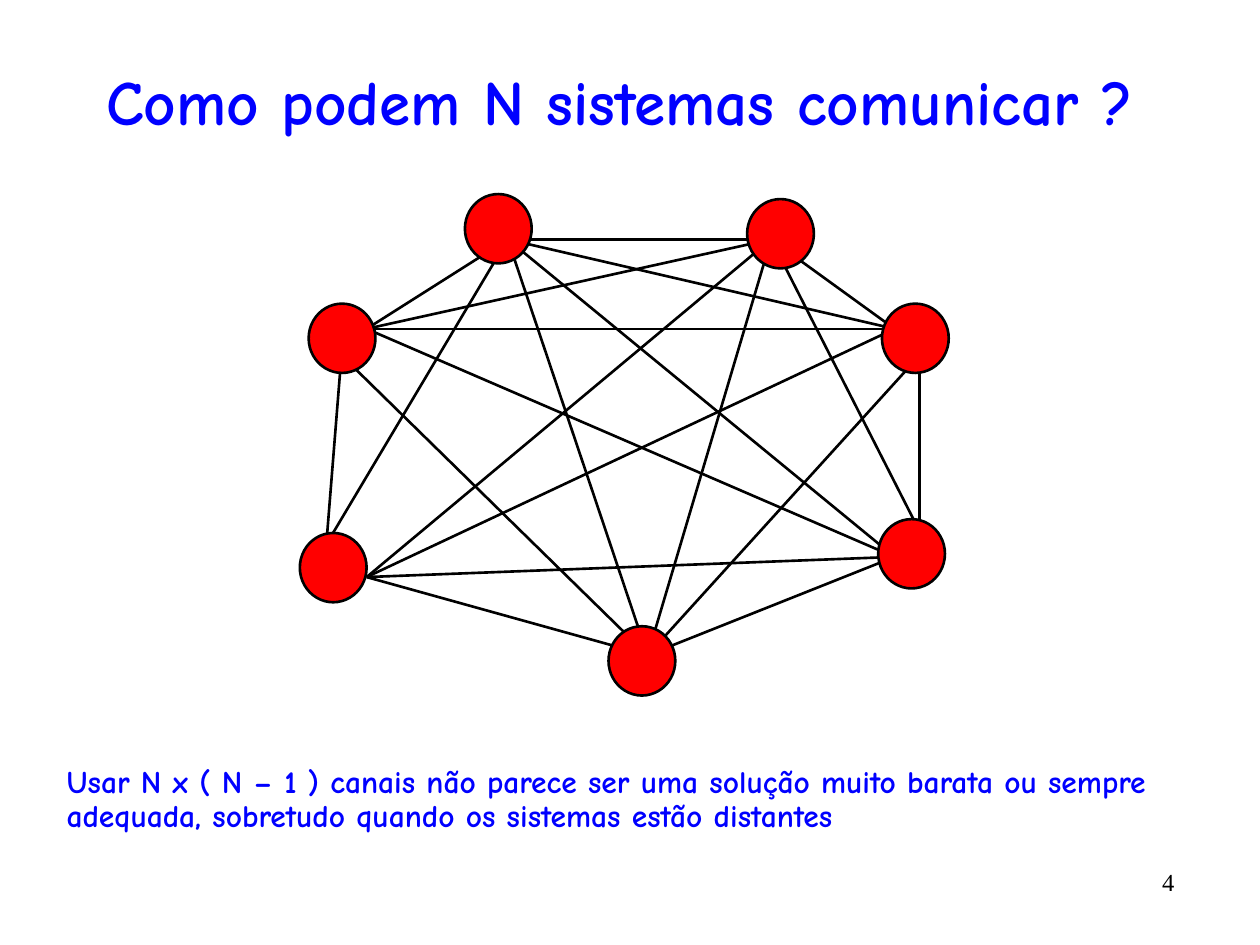
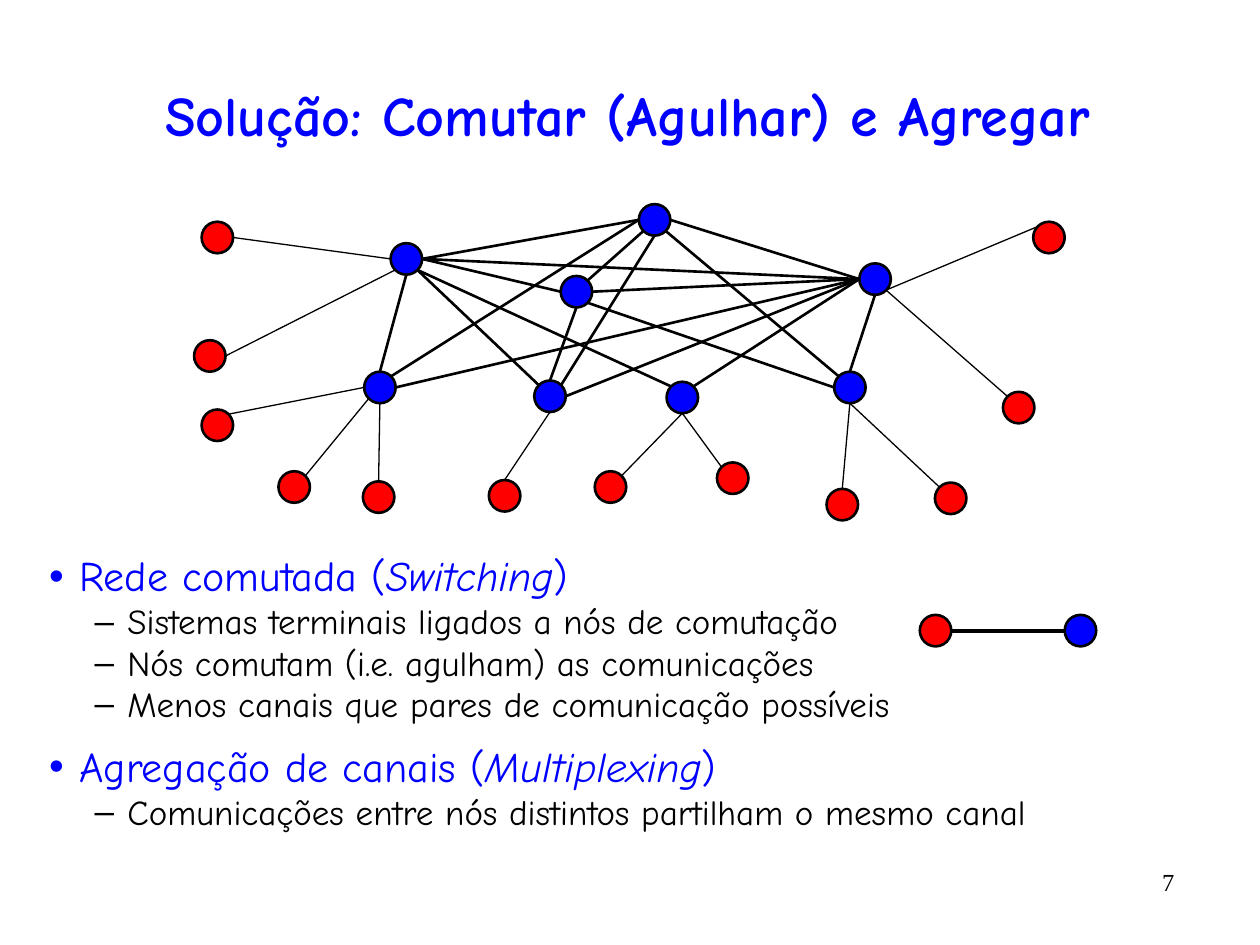
from itertools import combinations
from lxml import etree
from pptx import Presentation
from pptx.dml.color import RGBColor
from pptx.enum.shapes import MSO_CONNECTOR, MSO_SHAPE
from pptx.enum.text import MSO_ANCHOR, MSO_AUTO_SIZE, PP_ALIGN
from pptx.oxml.ns import qn
from pptx.util import Inches, Pt

BLUE = RGBColor(0x00, 0x00, 0xFF)
RED = RGBColor(0xFF, 0x00, 0x00)
BLACK = RGBColor(0x00, 0x00, 0x00)
FONT, NUMBER_FONT = "Comic Neue", "Times New Roman"

MESH_TITLE = "Como podem N sistemas comunicar ?"
MESH_NOTE = ("Usar N x ( N – 1 ) canais não parece ser uma solução muito barata "
             "ou sempre adequada, sobretudo quando os sistemas estão distantes")
MESH_SIZE = (0.53, 0.55)
MESH_NODES = {
    "A": (3.69, 1.54), "B": (5.93, 1.58), "C": (2.45, 2.41), "D": (7.0, 2.41),
    "E": (2.38, 4.23), "F": (6.97, 4.12), "G": (4.83, 4.97),
}
INNER_PORTS = {
    "A": (4.03, 1.9), "B": (6.12, 1.9), "C": (2.91, 2.61), "D": (7.1, 2.61),
    "E": (2.91, 4.58), "F": (7.1, 4.42), "G": (5.14, 5.2),
}
OUTER_PORTS = {
    "C": ((2.71, 2.82), "EG"), "D": ((7.3, 2.82), "FG"),
    "E": ((2.59, 4.32), "AC"), "F": ((7.3, 4.22), "BD"),
}

SWITCH_TITLE = "Solução: Comutar (Agulhar) e Agregar"
DOT = 0.25
SWITCHES = {
    "S1": (3.1, 1.93), "S2": (4.45, 2.19), "S3": (5.07, 1.62), "S4": (6.82, 2.09),
    "S5": (2.89, 2.95), "S6": (4.24, 3.02), "S7": (5.29, 3.03), "S8": (6.62, 2.95),
    "S9": (8.45, 4.88),
}
TERMINALS = {
    "T1": (1.6, 1.76), "T2": (1.54, 2.7), "T3": (1.6, 3.25), "T4": (2.21, 3.74),
    "T5": (2.88, 3.82), "T6": (3.88, 3.81), "T7": (4.72, 3.74), "T8": (5.69, 3.67),
    "T9": (6.56, 3.88), "T10": (7.42, 3.83), "T11": (7.96, 3.11), "T12": (8.2, 1.76),
    "T13": (7.3, 4.88),
}
LINKS = {
    0.75: ["T1 E S1 W", "T2 E S1 SW", "T3 NE S5 W", "T4 NE S5 SW", "T5 N S5 S",
           "T6 N S6 S", "T7 NE S7 S", "T8 NW S7 S", "T9 N S8 S", "T10 NW S8 S",
           "T11 NW S4 SE", "T12 NW S4 SE"],
    1.5: ["S1 E S2 W", "S1 E S3 W", "S1 E S4 W", "S1 S S5 N", "S1 SE S6 NW",
          "S1 SE S7 NW", "S2 NE S3 SW", "S2 E S4 W", "S2 S S6 N", "S2 SE S8 W",
          "S3 E S4 W", "S3 W S5 NE", "S3 S S6 NE", "S3 SE S8 NW", "S4 W S5 E",
          "S4 W S6 E", "S4 W S7 NE", "S4 S S8 N"],
    2.25: ["T13 E S9 W"],
}
BULLETS = [
    (0, "Rede comutada (*Switching*)"),
    (1, "Sistemas terminais ligados a nós de comutação"),
    (1, "Nós comutam (i.e. agulham) as comunicações"),
    (1, "Menos canais que pares de comunicação possíveis"),
    (0, "Agregação de canais (*Multiplexing*)"),
    (1, "Comunicações entre nós distintos partilham o mesmo canal"),
]
LEVELS = [
    dict(size=24, color=BLUE, mark="•", left=0.24, hang=-0.24, before=12),
    dict(size=20, color=BLACK, mark="–", left=0.62, hang=-0.26, before=2),
]


def style(r, size, color, bold=False, font=FONT):
    r.font.name, r.font.size, r.font.bold = font, Pt(size), bold
    r.font.color.rgb = color


def place(sp, box):
    sp.left, sp.top, sp.width, sp.height = map(Inches, box)


def write(sp, text, size, color, align, bold=False, font=FONT):
    tf = sp.text_frame
    tf.word_wrap, tf.auto_size = True, MSO_AUTO_SIZE.NONE
    tf.text = text
    p = tf.paragraphs[0]
    p.alignment = align
    style(p.runs[0], size, color, bold, font)
    return p


def add_slide(layout, title, box, size, number):
    s = prs.slides.add_slide(prs.slide_layouts[layout])
    place(s.shapes.title, box)
    write(s.shapes.title, title, size, BLUE, PP_ALIGN.CENTER, True)
    s.shapes.title.text_frame.vertical_anchor = MSO_ANCHOR.MIDDLE
    page = s.shapes.add_textbox(*map(Inches, (8.42, 6.83, 1, 0.42)))
    write(page, number, 14, BLACK, PP_ALIGN.RIGHT, font=NUMBER_FONT)
    return s


def add_link(s, start, end, width):
    c = s.shapes.add_connector(MSO_CONNECTOR.STRAIGHT, *map(Inches, start + end))
    c.line.color.rgb, c.line.width = BLACK, Pt(width)
    etree.SubElement(c._element.spPr, qn("a:effectLst"))


def add_nodes(s, nodes, size, color):
    for corner in nodes.values():
        sp = s.shapes.add_shape(MSO_SHAPE.OVAL, *map(Inches, corner + size))
        sp.shadow.inherit = False
        sp.fill.solid()
        sp.fill.fore_color.rgb = color
        sp.line.color.rgb, sp.line.width = BLACK, Pt(1.5)


def mesh_port(node, other):
    point, partners = OUTER_PORTS.get(node, (None, ""))
    return point if other in partners else INNER_PORTS[node]


def compass_port(node, heading):
    x, y = (SWITCHES | TERMINALS)[node]
    reach = DOT / 2 * (0.7 if len(heading) == 2 else 1)
    dx = ("E" in heading) - ("W" in heading)
    dy = ("S" in heading) - ("N" in heading)
    return x + DOT / 2 + dx * reach, y + DOT / 2 + dy * reach


def add_bullet(p, level, text, first):
    look = LEVELS[level]
    p.level, p.line_spacing = level, 0.9
    p.space_before = Pt(0 if first else look["before"])
    pPr = p._p.get_or_add_pPr()
    pPr.set("marL", str(Inches(look["left"])))
    pPr.set("indent", str(Inches(look["hang"])))
    clr = etree.SubElement(pPr, qn("a:buClr"))
    etree.SubElement(clr, qn("a:srgbClr"), val=str(look["color"]))
    etree.SubElement(pPr, qn("a:buChar"), char=look["mark"])
    for i, part in enumerate(text.split("*")):
        r = p.add_run()
        r.text = part
        style(r, look["size"], look["color"])
        r.font.italic = i % 2 == 1


prs = Presentation()
prs.slide_width, prs.slide_height = Inches(10), Inches(7.5)

s = add_slide(5, MESH_TITLE, (0.33, 0.42, 9.17, 0.75), 36, "4")
note = s.shapes.add_textbox(*map(Inches, (0.43, 6.03, 9.42, 1.02)))
write(note, MESH_NOTE, 18, BLUE, PP_ALIGN.LEFT, True).line_spacing = 0.9
for a, b in combinations(MESH_NODES, 2):
    add_link(s, mesh_port(a, b), mesh_port(b, a), 1.5)
add_nodes(s, MESH_NODES, MESH_SIZE, RED)

s = add_slide(1, SWITCH_TITLE, (0.33, 0.42, 9.31, 0.97), 32, "7")
body = s.placeholders[1]
place(body, (0.29, 4.36, 9.42, 2.83))
tf = body.text_frame
tf.word_wrap, tf.auto_size = True, MSO_AUTO_SIZE.NONE
for i, (level, text) in enumerate(BULLETS):
    add_bullet(tf.add_paragraph() if i else tf.paragraphs[0], level, text, i == 0)
for width, links in LINKS.items():
    for link in links:
        a, a_side, b, b_side = link.split()
        add_link(s, compass_port(a, a_side), compass_port(b, b_side), width)
add_nodes(s, SWITCHES, (DOT, DOT), BLUE)
add_nodes(s, TERMINALS, (DOT, DOT), RED)

prs.save("out.pptx")
